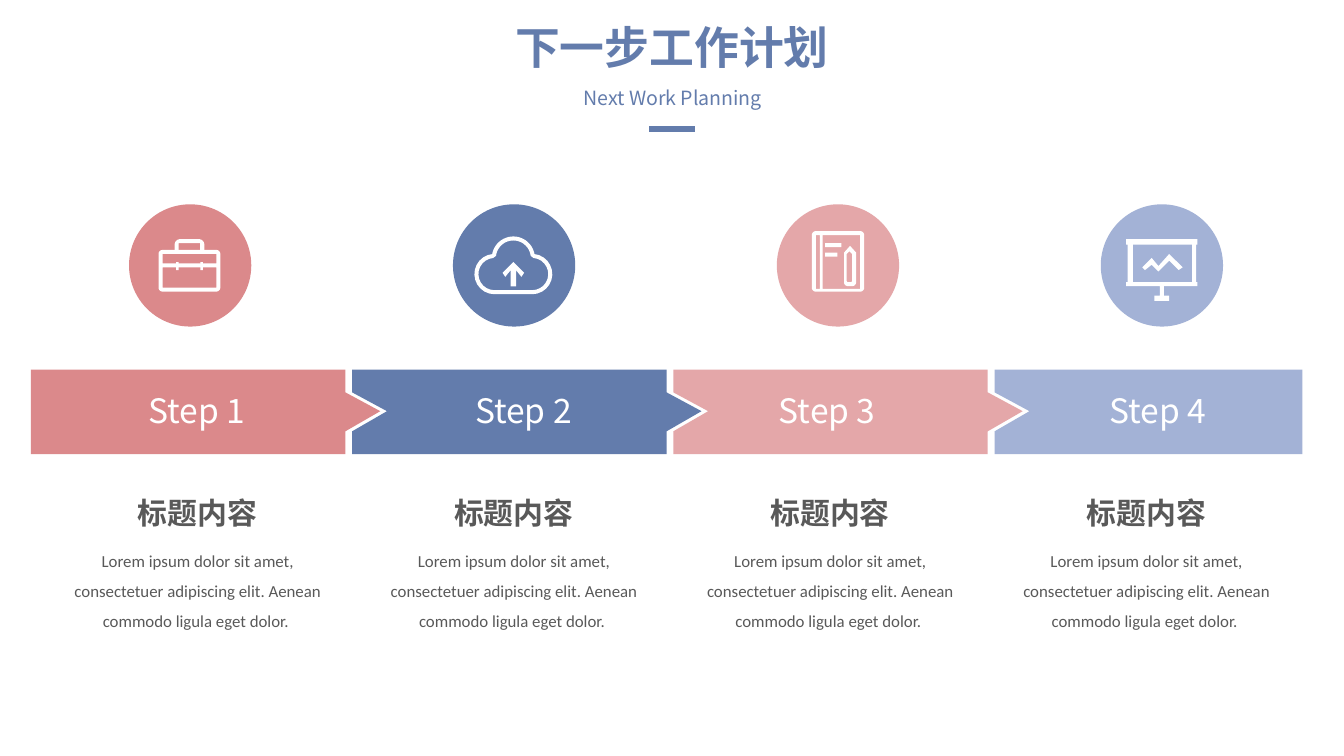
from dataclasses import dataclass
from math import cos, radians, sin

from lxml import etree
from pptx import Presentation
from pptx.dml.color import RGBColor
from pptx.enum.shapes import MSO_CONNECTOR, MSO_SHAPE
from pptx.enum.text import MSO_ANCHOR, MSO_AUTO_SIZE, PP_ALIGN
from pptx.oxml.ns import qn
from pptx.util import Inches, Pt


@dataclass(frozen=True)
class Theme:
    steps: tuple = ("DB898B", "637CAC", "E4A7A9", "A3B2D6")
    accent: str = "637CAC"
    white: str = "FFFFFF"
    grey: str = "595959"
    main_font: str = "Noto Sans CJK SC"
    body_font: str = "Calibri"
    title_size: float = 24
    subtitle_size: float = 10.5
    step_size: float = 18
    heading_size: float = 16
    body_size: float = 9


THEME = Theme()
BODY = ("Lorem ipsum dolor sit amet, consectetuer adipiscing elit. "
        "Aenean commodo ligula eget dolor. ")
SLIDE_WIDTH = 10
BAND_LEFT, BAND_PITCH, BAND_WIDTH, BAND_RIGHT = 0.23, 2.39, 2.34, 9.69
BAND_TOP, BAND_BOTTOM = 2.75, 3.38
CIRCLE_LEFT, CIRCLE_PITCH = 0.96, 2.41
COPY_LEFT, COPY_PITCH = 0.37, 7.06 / 3
LABEL_LEFTS = (0.99, 3.42, 5.68, 8.14)


def paint(shape, color):
    shape.shadow.inherit = False
    shape.fill.solid()
    shape.fill.fore_color.rgb = RGBColor.from_string(color)
    shape.line.fill.background()


def write(shape, box, text, size, color, font=THEME.main_font,
          bold=False, spacing=1.0, wrap=True):
    shape.left, shape.top, shape.width, shape.height = map(Inches, box)
    frame = shape.text_frame
    frame.word_wrap = wrap
    frame.auto_size = MSO_AUTO_SIZE.NONE
    frame.vertical_anchor = MSO_ANCHOR.TOP
    paragraph = frame.paragraphs[0]
    paragraph.alignment = PP_ALIGN.CENTER
    paragraph.line_spacing = spacing
    paragraph.space_before = Pt(0)
    run = paragraph.add_run()
    run.text = text
    run.font.size, run.font.bold, run.font.name = Pt(size), bold, font
    run.font.color.rgb = RGBColor.from_string(color)
    east_asian = etree.SubElement(run.font._element, qn("a:ea"))
    east_asian.set("typeface", font)


def add_text(shapes, box, *args, **kwargs):
    write(shapes.add_textbox(*map(Inches, box)), box, *args, **kwargs)


def add_preset(shapes, kind, box, color):
    paint(shapes.add_shape(kind, *map(Inches, box)), color)


def add_outline(shapes, color, *contours):
    builder = None
    for contour in contours:
        points = [(Inches(x), Inches(y)) for x, y in contour]
        if builder is None:
            builder = shapes.build_freeform(*points[0])
        else:
            builder.move_to(*points[0])
        builder.add_line_segments(points[1:], close=True)
    paint(builder.convert_to_shape(), color)


def add_rule(shapes, x1, x2, y):
    rule = shapes.add_connector(MSO_CONNECTOR.STRAIGHT, *map(Inches, (x1, y, x2, y)))
    rule.line.color.rgb = RGBColor.from_string(THEME.accent)
    rule.line.width = Pt(3)
    etree.SubElement(rule._element.spPr, qn("a:effectLst"))


def arc(x, y, radius, start, end, count=12):
    angles = [radians(start + (end - start) * i / count) for i in range(count + 1)]
    return [(x + radius * cos(a), y + radius * sin(a)) for a in angles]


def rect(left, top, width, height):
    right, bottom = left + width, top + height
    return [(left, top), (right, top), (right, bottom), (left, bottom)]


def rounded_bottom(left, right, bottom, r):
    return arc(right - r, bottom - r, r, 0, 90) + arc(left + r, bottom - r, r, 90, 180)


def rounded_top(left, right, top, r):
    return arc(left + r, top + r, r, 180, 270) + arc(right - r, top + r, r, 270, 360)


def rounded(left, top, width, height, r):
    right = left + width
    return rounded_top(left, right, top, r) + rounded_bottom(left, right, top + height, r)


def cloud(inset):
    side, crown = 0.15 - inset, 0.16 - inset
    return (arc(3.68, 2.04, side, 90, 265) + arc(3.82, 1.92, crown, 187, 353, 24)
            + arc(3.96, 2.04, side, 275, 450))


def pencil(left, top, right, bottom, tip, r):
    middle = (left + right) / 2
    return ([(middle, top), (right, top + tip)]
            + rounded_bottom(left, right, bottom, r) + [(left, top + tip)])


def add_briefcase(shapes):
    handle = rounded_top(1.3, 1.52, 1.78, 0.04) + [
        (1.52, 1.86), (1.49, 1.86), (1.49, 1.81),
        (1.33, 1.81), (1.33, 1.86), (1.3, 1.86)]
    add_outline(shapes, THEME.white, handle)
    add_outline(shapes, THEME.white, rounded(1.18, 1.86, 0.46, 0.31, 0.03),
                rect(1.21, 1.89, 0.4, 0.07), rect(1.21, 1.99, 0.4, 0.15))
    for left in (1.31, 1.49):
        add_preset(shapes, MSO_SHAPE.RECTANGLE, (left, 1.95, 0.02, 0.06), THEME.white)


def add_cloud_upload(shapes):
    add_outline(shapes, THEME.white, cloud(0), cloud(0.03))
    add_outline(shapes, THEME.white, [
        (3.74, 2.03), (3.76, 2.06), (3.8, 2.01), (3.8, 2.13), (3.84, 2.13),
        (3.84, 2.01), (3.88, 2.06), (3.9, 2.03), (3.82, 1.95)])


def add_notebook(shapes):
    add_outline(shapes, THEME.white, rounded(6.04, 1.72, 0.39, 0.45, 0.03),
                rect(6.07, 1.75, 0.03, 0.4), rect(6.12, 1.75, 0.28, 0.4))
    for top, width in ((1.81, 0.12), (1.88, 0.09)):
        add_preset(shapes, MSO_SHAPE.RECTANGLE, (6.14, top, width, 0.03), THEME.white)
    add_outline(shapes, THEME.white, pencil(6.28, 1.83, 6.37, 2.13, 0.05, 0.03),
                pencil(6.3, 1.87, 6.34, 2.1, 0.02, 0.01))


def add_chart_board(shapes):
    add_outline(shapes, THEME.white, [
        (8.5, 1.99), (8.57, 1.92), (8.62, 1.98), (8.7, 1.89), (8.8, 1.99),
        (8.77, 2.01), (8.7, 1.94), (8.62, 2.02), (8.57, 1.97), (8.52, 2.01)])
    right_half = [(8.91, 1.78), (8.91, 1.82), (8.9, 1.82), (8.9, 2.1), (8.91, 2.1),
                  (8.91, 2.13), (8.66, 2.13), (8.66, 2.2), (8.7, 2.2), (8.7, 2.24)]
    left_half = [(8.38 + 8.91 - x, y) for x, y in reversed(right_half)]
    add_outline(shapes, THEME.white, right_half + left_half,
                rect(8.43, 1.82, 0.44, 0.28))


def add_band(shapes, index):
    left = BAND_LEFT + BAND_PITCH * index
    last = index == len(THEME.steps) - 1
    right = BAND_RIGHT if last else left + BAND_WIDTH

    def point(x):
        return [(x, 2.92), (x + 0.26, 3.06), (x, 3.21)]

    tip = [] if last else point(right)
    notch = point(left)[::-1] if index else []
    add_outline(shapes, THEME.steps[index],
                [(left, BAND_TOP), (right, BAND_TOP)] + tip
                + [(right, BAND_BOTTOM), (left, BAND_BOTTOM)] + notch)


def add_step(shapes, index, draw_icon):
    add_band(shapes, index)
    circle = (CIRCLE_LEFT + CIRCLE_PITCH * index, 1.52, 0.91, 0.91)
    add_preset(shapes, MSO_SHAPE.OVAL, circle, THEME.steps[index])
    draw_icon(shapes.add_group_shape().shapes)
    add_text(shapes, (LABEL_LEFTS[index], 2.85, 0.95, 0.4), f"Step {index + 1}",
             THEME.step_size, THEME.white, wrap=False)
    left = COPY_LEFT + COPY_PITCH * index
    add_text(shapes, (left + 0.47, 3.58, 1.26, 0.4), "标题内容",
             THEME.heading_size, THEME.grey, bold=True, spacing=1.2)
    add_text(shapes, (left, 3.97, 2.2, 0.76), BODY, THEME.body_size, THEME.grey,
             font=THEME.body_font, spacing=1.5)


def main():
    deck = Presentation()
    deck.slide_width = Inches(SLIDE_WIDTH)
    deck.slide_height = Inches(SLIDE_WIDTH * 9 / 16)
    slide = deck.slides.add_slide(deck.slide_layouts[5])
    shapes = slide.shapes
    write(shapes.title, (3.16, 0.1, 3.68, 0.5), "下一步工作计划",
          THEME.title_size, THEME.accent, bold=True)
    add_text(shapes, (4.03, 0.59, 1.95, 0.28), "Next Work Planning",
             THEME.subtitle_size, THEME.accent)
    add_rule(shapes, 4.83, 5.17, 0.96)
    icons = (add_briefcase, add_cloud_upload, add_notebook, add_chart_board)
    for index, draw_icon in enumerate(icons):
        add_step(shapes, index, draw_icon)
    deck.save("out.pptx")


main()
